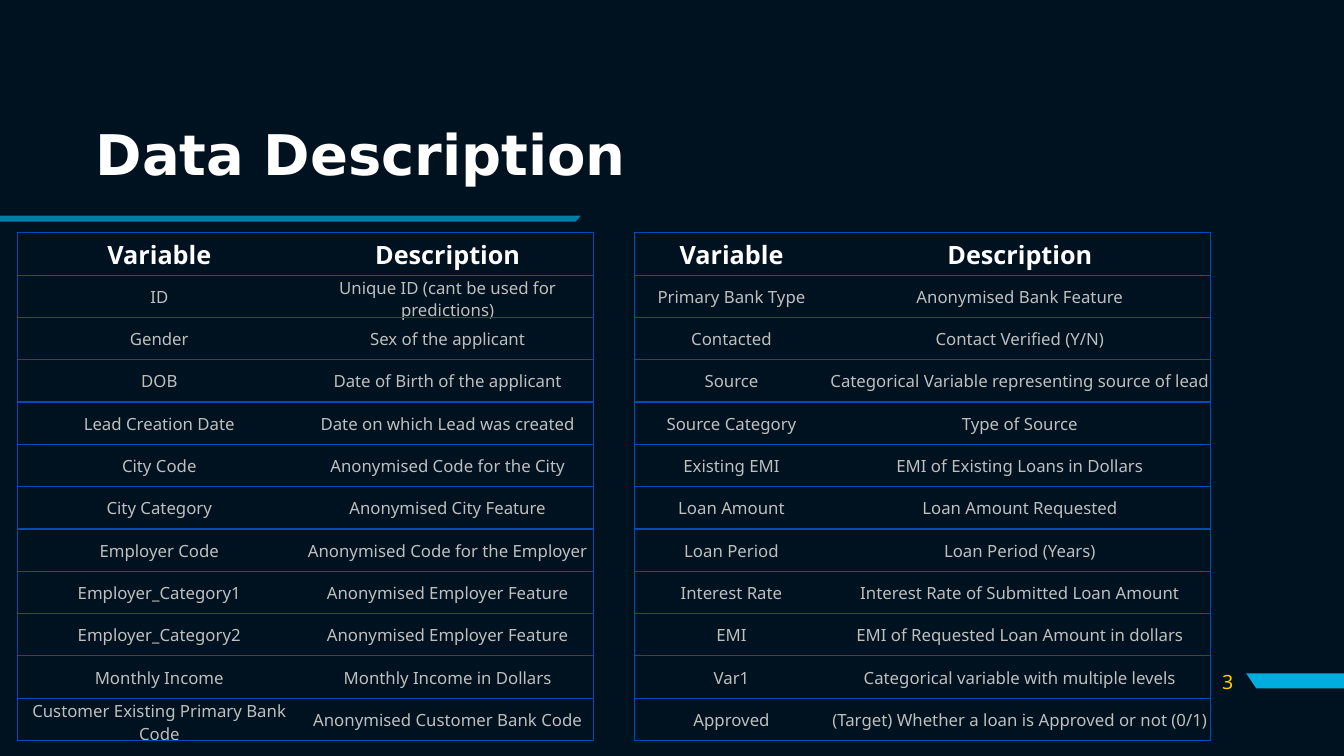
"""Build the Data Description slide: two variable tables under a title."""
from dataclasses import dataclass

from lxml.etree import SubElement
from pptx import Presentation
from pptx.dml.color import RGBColor as Color
from pptx.enum.text import MSO_ANCHOR as Anchor, PP_ALIGN as Align
from pptx.oxml import parse_xml
from pptx.oxml.ns import nsdecls, qn
from pptx.util import Inches, Pt

TITLE = "Data Description"
PAGE_NUMBER = "3"
HEADER = ("Variable", "Description")
APPLICANT_ROWS = [
    ("ID", "Unique ID (cant be used for predictions)"),
    ("Gender", "Sex of the applicant"),
    ("DOB", "Date of Birth of the applicant"),
    ("Lead Creation Date", "Date on which Lead was created"),
    ("City Code", "Anonymised Code for the City"),
    ("City Category", "Anonymised City Feature"),
    ("Employer Code", "Anonymised Code for the Employer"),
    ("Employer_Category1", "Anonymised Employer Feature"),
    ("Employer_Category2", "Anonymised Employer Feature"),
    ("Monthly Income", "Monthly Income in Dollars"),
    ("Customer Existing Primary Bank Code", "Anonymised Customer Bank Code"),
]
LOAN_ROWS = [
    ("Primary Bank Type", "Anonymised Bank Feature"),
    ("Contacted", "Contact Verified (Y/N)"),
    ("Source", "Categorical Variable representing source of lead"),
    ("Source Category", "Type of Source"),
    ("Existing EMI", "EMI of Existing Loans in Dollars"),
    ("Loan Amount", "Loan Amount Requested"),
    ("Loan Period", "Loan Period (Years)"),
    ("Interest Rate", "Interest Rate of Submitted Loan Amount"),
    ("EMI", "EMI of Requested Loan Amount in dollars"),
    ("Var1", "Categorical variable with multiple levels"),
    ("Approved", "(Target) Whether a loan is Approved or not (0/1)"),
]
TABLES = [(0.17, (2.82, 2.9), APPLICANT_ROWS), (6.29, (1.93, 3.79), LOAN_ROWS)]
TABLE_TOP, ROW_HEIGHT = 2.31, 0.42
TITLE_BAR = [(0, 2.14), (0, 2.2), (5.71, 2.2), (5.76, 2.14)]
NUMBER_BAR = [(13.33, 6.68), (13.33, 6.83), (12.46, 6.83), (12.36, 6.68)]


@dataclass(frozen=True)
class Theme:
    back: str = "00111F"
    accent: str = "00AEDE"
    border: str = "004CB9"
    strong: str = "FFFFFF"
    body: str = "BFBFBF"
    number: str = "FFCD00"
    title_font: str = "DejaVu Sans"
    body_font: str = "Noto Sans"
    title_size: int = 40
    header_size: int = 18
    number_size: int = 14
    body_size: int = 12


THEME = Theme()


def write(frame, text, size, color, align, bold=False, face=THEME.body_font):
    para = frame.paragraphs[0]
    para.text, para.alignment = text, align
    font = para.font
    font.size, font.name, font.bold = Pt(size), face, bold
    font.color.rgb = Color.from_string(color)
    return para


def add_label(page, area, *style, **options):
    frame = page.shapes.add_textbox(*map(Inches, area)).text_frame
    frame.word_wrap, frame.vertical_anchor = True, Anchor.MIDDLE
    return write(frame, *style, **options)


def add_bar(page, points, opacity=100):
    start, *others = [(Inches(x), Inches(y)) for x, y in points]
    builder = page.shapes.build_freeform(*start)
    builder.add_line_segments(others, close=True)
    bar = builder.convert_to_shape()
    bar.shadow.inherit = False
    bar.line.fill.background()
    bar.fill.solid()
    bar.fill.fore_color.rgb = Color.from_string(THEME.accent)
    if opacity < 100:
        tint = bar.fill._xPr.find(".//" + qn("a:srgbClr"))
        SubElement(tint, qn("a:alpha"), val=str(opacity * 1000))


def set_borders(cell, sides):
    line = f'<a:solidFill><a:srgbClr val="{THEME.border}"/></a:solidFill>'
    properties = cell._tc.get_or_add_tcPr()
    for position, side in enumerate("LRTB"):
        paint = line if side in sides else "<a:noFill/>"
        properties.insert(position, parse_xml(
            f'<a:ln{side} {nsdecls("a")} w="{Pt(1)}">{paint}</a:ln{side}>'))


def fill_cell(cell, text, is_header, sides):
    cell.fill.background()
    set_borders(cell, sides)
    if is_header:
        write(cell.text_frame, text, THEME.header_size, THEME.strong, Align.CENTER, bold=True)
        return
    cell.vertical_anchor = Anchor.MIDDLE
    cell.margin_left = cell.margin_right = cell.margin_top = Inches(0.01)
    cell.margin_bottom = 0
    write(cell.text_frame, text, THEME.body_size, THEME.body, Align.CENTER)


def add_variables(page, left, widths, rows):
    rows = [HEADER, *rows]
    area = (left, TABLE_TOP, sum(widths), ROW_HEIGHT * len(rows))
    table = page.shapes.add_table(len(rows), len(widths), *map(Inches, area)).table
    table.first_row = table.horz_banding = False
    for column, width in zip(table.columns, widths):
        column.width = Inches(width)
    for row_index, row in enumerate(rows):
        table.rows[row_index].height = Inches(ROW_HEIGHT)
        for column_index, (text, sides) in enumerate(zip(row, ("LTB", "RTB"))):
            fill_cell(table.cell(row_index, column_index), text, row_index == 0, sides)


def main():
    deck = Presentation()
    deck.slide_width, deck.slide_height = Inches(13.33), Inches(7.5)
    page = deck.slides.add_slide(deck.slide_layouts[6])
    page.background.fill.solid()
    page.background.fill.fore_color.rgb = Color.from_string(THEME.back)
    add_bar(page, NUMBER_BAR)
    add_bar(page, TITLE_BAR, opacity=70)
    title = add_label(page, (0.85, 1.13, 5.53, 0.86), TITLE, THEME.title_size,
                      THEME.strong, Align.LEFT, bold=True, face=THEME.title_font)
    title.line_spacing = 0.9
    add_label(page, (11.73, 6.56, 0.6, 0.4), PAGE_NUMBER, THEME.number_size,
              THEME.number, Align.RIGHT)
    for left, widths, rows in TABLES:
        add_variables(page, left, widths, rows)
    deck.save("out.pptx")


if __name__ == "__main__":
    main()
